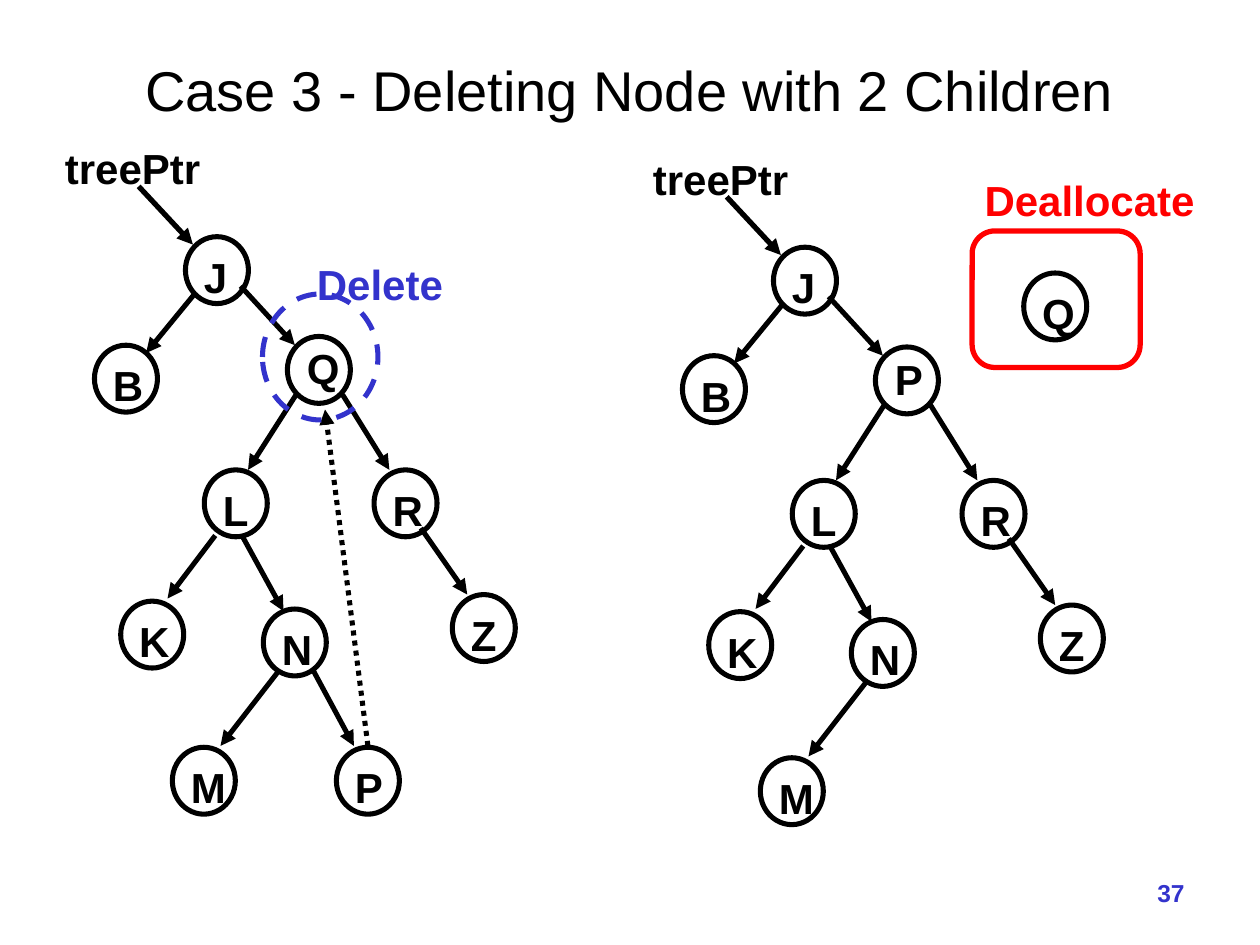
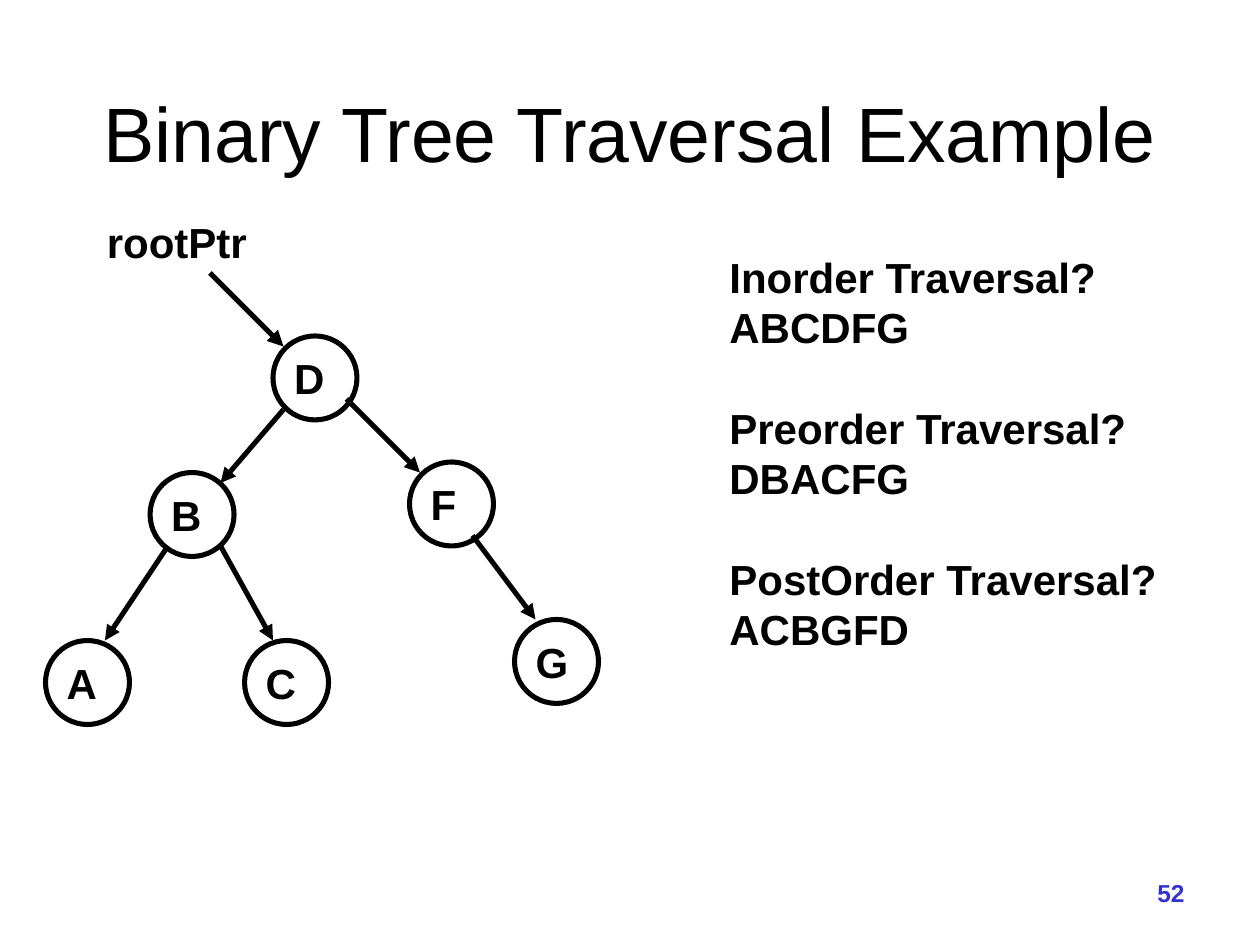
from lxml.etree import SubElement
from pptx import Presentation
from pptx.dml.color import RGBColor
from pptx.enum.dml import MSO_LINE
from pptx.enum.shapes import MSO_CONNECTOR, MSO_SHAPE
from pptx.enum.text import MSO_ANCHOR, PP_ALIGN
from pptx.oxml.ns import qn
from pptx.util import Pt

# Shared style
BLACK = RGBColor(0x00, 0x00, 0x00)
BLUE = RGBColor(0x33, 0x33, 0xCC)
RED = RGBColor(0xFF, 0x00, 0x00)
LINE_WIDTH = 2.89
LABEL_HEIGHT = 36
LABEL_LINE = 28.8
LETTER_WIDTH = 36
LABEL_FONT = {"name": "Arial", "size": Pt(24), "bold": True}
NUMBER_FONT = {"name": "Arial", "size": Pt(14), "bold": True}

# Deletion slide: nodes and arrows of the tree before and after
NODE_SIZE = (36, 38.25)
NODE_LABEL_SHIFT = (3.5, 4.75)
AFTER_SHIFT = (336, 6)
TREE_NODES = {"J": (106, 135.25), "B": (54, 197.25), "R": (213.75, 268.5),
              "L": (116.75, 268.5), "Z": (258.5, 339.75), "N": (150.5, 348),
              "K": (69, 343.5), "M": (98.5, 427)}
DELETED_SPOT = (164.25, 192.25)
REPLACEMENT_SPOT = (192.25, 427)
TREE_ARROWS = [
    (137.5, 163.5, 168.5, 197.25),    # J to the deleted spot
    (110.75, 168.5, 83.5, 201.75),    # J to B
    (195.75, 225.5, 222.5, 268.5),    # deleted spot to R
    (169.25, 225.5, 141.75, 268.5),   # deleted spot to L
    (240.5, 301.75, 267, 339.75),     # R to Z
    (138.25, 306, 162, 349.25),       # L to N
    (123, 306, 95.75, 342),           # L to K
    (159, 383.75, 126, 426.25),       # N to M
]

# Traversal slide
ROUND_SIZE = (48, 48)
ROUND_LABEL_SHIFT = (5, 6)
TRAVERSAL_NODES = {"D": (156, 192), "B": (85.75, 270), "F": (234, 264),
                   "G": (294, 354), "C": (139.75, 366), "A": (26, 366)}
TRAVERSAL_ARROWS = [
    (198, 228, 240, 270),    # D to F
    (270, 306, 306, 354),    # F to G
    (162, 234, 126, 276),    # D to B
    (126, 312, 156, 366),    # B to C
    (96, 312, 60, 366),      # B to A
]
TRAVERSALS = [("Inorder Traversal?", "ABCDFG"),
              ("Preorder Traversal?", "DBACFG"),
              ("PostOrder Traversal?", "ACBGFD")]


def set_font(p, fmt, color):
    for name, value in fmt.items():
        setattr(p.font, name, value)
    p.font.color.rgb = color


def add_text(s, box, text, fmt, color=BLACK, align=PP_ALIGN.LEFT,
             anchor=MSO_ANCHOR.TOP):
    tf = s.shapes.add_textbox(*map(Pt, box)).text_frame
    tf.word_wrap = True
    tf.vertical_anchor = anchor
    tf.text = text
    for p in tf.paragraphs:
        p.alignment = align
        set_font(p, fmt, color)
    return tf


def add_label(s, x, y, width, text, color=BLACK, height=LABEL_HEIGHT):
    tf = add_text(s, (x, y, width, height), text, LABEL_FONT, color)
    for p in tf.paragraphs:
        p.line_spacing = Pt(LABEL_LINE)
    return tf


def add_outline(s, kind, box, color=BLACK, width=LINE_WIDTH, dash=None):
    sp = s.shapes.add_shape(kind, *map(Pt, box))
    sp.shadow.inherit = False
    sp.fill.background()
    sp.line.color.rgb = color
    sp.line.width = Pt(width)
    if dash:
        sp.line.dash_style = dash


def add_node(s, letter, x, y, size, label_shift):
    add_outline(s, MSO_SHAPE.OVAL, (x, y, *size))
    dx, dy = label_shift
    add_label(s, x + dx, y + dy, LETTER_WIDTH, letter)


def add_arrow(s, ends, width=LINE_WIDTH, dash=None):
    line = s.shapes.add_connector(MSO_CONNECTOR.STRAIGHT, *map(Pt, ends))
    line.line.color.rgb = BLACK
    line.line.width = Pt(width)
    if dash:
        line.line.dash_style = dash
    SubElement(line.line._get_or_add_ln(), qn("a:tailEnd"), type="triangle")
    SubElement(line._element.spPr, qn("a:effectLst"))


def add_slide(prs, title, box, size, number):
    s = prs.slides.add_slide(prs.slide_layouts[6])
    add_text(s, box, title, {"name": "Arial", "size": Pt(size)},
             align=PP_ALIGN.CENTER, anchor=MSO_ANCHOR.MIDDLE)
    add_text(s, (534, 498, 150, 29.5), str(number), NUMBER_FONT, BLUE,
             PP_ALIGN.RIGHT)
    return s


def add_tree(s, deleted_spot_letter, shift=(0, 0)):
    dx, dy = shift
    for letter, (x, y) in TREE_NODES.items():
        add_node(s, letter, x + dx, y + dy, NODE_SIZE, NODE_LABEL_SHIFT)
    x, y = DELETED_SPOT
    add_node(s, deleted_spot_letter, x + dx, y + dy, NODE_SIZE, (4, 0))
    for x1, y1, x2, y2 in TREE_ARROWS:
        add_arrow(s, (x1 + dx, y1 + dy, x2 + dx, y2 + dy))
    add_arrow(s, (79.25 + dx, 106.5 + dy, 110.25 + dx, 139.75 + dy), 3)
    add_label(s, 30 + dx, 78 + dy, 98, "treePtr")


def add_deletion_slide(prs):
    s = add_slide(prs, "Case 3 - Deleting Node with 2 Children",
                  (48, 24, 624, 54), 32, 37)
    # Before: Q is marked and P moves up
    add_tree(s, "Q")
    add_node(s, "P", *REPLACEMENT_SPOT, NODE_SIZE, NODE_LABEL_SHIFT)
    add_arrow(s, (178.5, 382.25, 202.25, 426.25))
    add_arrow(s, (210.25, 426.25, 185.75, 234), dash=MSO_LINE.ROUND_DOT)
    add_outline(s, MSO_SHAPE.OVAL, (150, 168, 66, 72), BLUE,
                dash=MSO_LINE.DASH)
    add_label(s, 174, 144, 92, "Delete", BLUE)
    # After: P stands in the place of Q
    add_tree(s, "P", AFTER_SHIFT)
    add_node(s, "Q", 585, 156, NODE_SIZE, NODE_LABEL_SHIFT)
    add_outline(s, MSO_SHAPE.ROUNDED_RECTANGLE, (555.5, 132, 96, 78), RED, 3)
    add_label(s, 555.5, 96, 142, "Deallocate", RED)


def add_traversal_slide(prs):
    s = add_slide(prs, "Binary Tree Traversal Example",
                  (42, 30, 636, 90), 44, 52)
    for letter, (x, y) in TRAVERSAL_NODES.items():
        add_node(s, letter, x, y, ROUND_SIZE, ROUND_LABEL_SHIFT)
    for ends in TRAVERSAL_ARROWS:
        add_arrow(s, ends)
    add_arrow(s, (120, 156, 162, 198), 3)
    add_label(s, 54, 120, 100, "rootPtr")
    # Questions with their answers
    lines = [line for pair in TRAVERSALS for line in pair]
    tf = add_label(s, 409.75, 140, 268, "\n".join(lines), height=266)
    for p in tf.paragraphs[2::2]:
        p.space_before = Pt(LABEL_LINE)


def main():
    prs = Presentation()
    prs.slide_width, prs.slide_height = Pt(720), Pt(540)
    add_deletion_slide(prs)
    add_traversal_slide(prs)
    prs.save("out.pptx")


if __name__ == "__main__":
    main()
